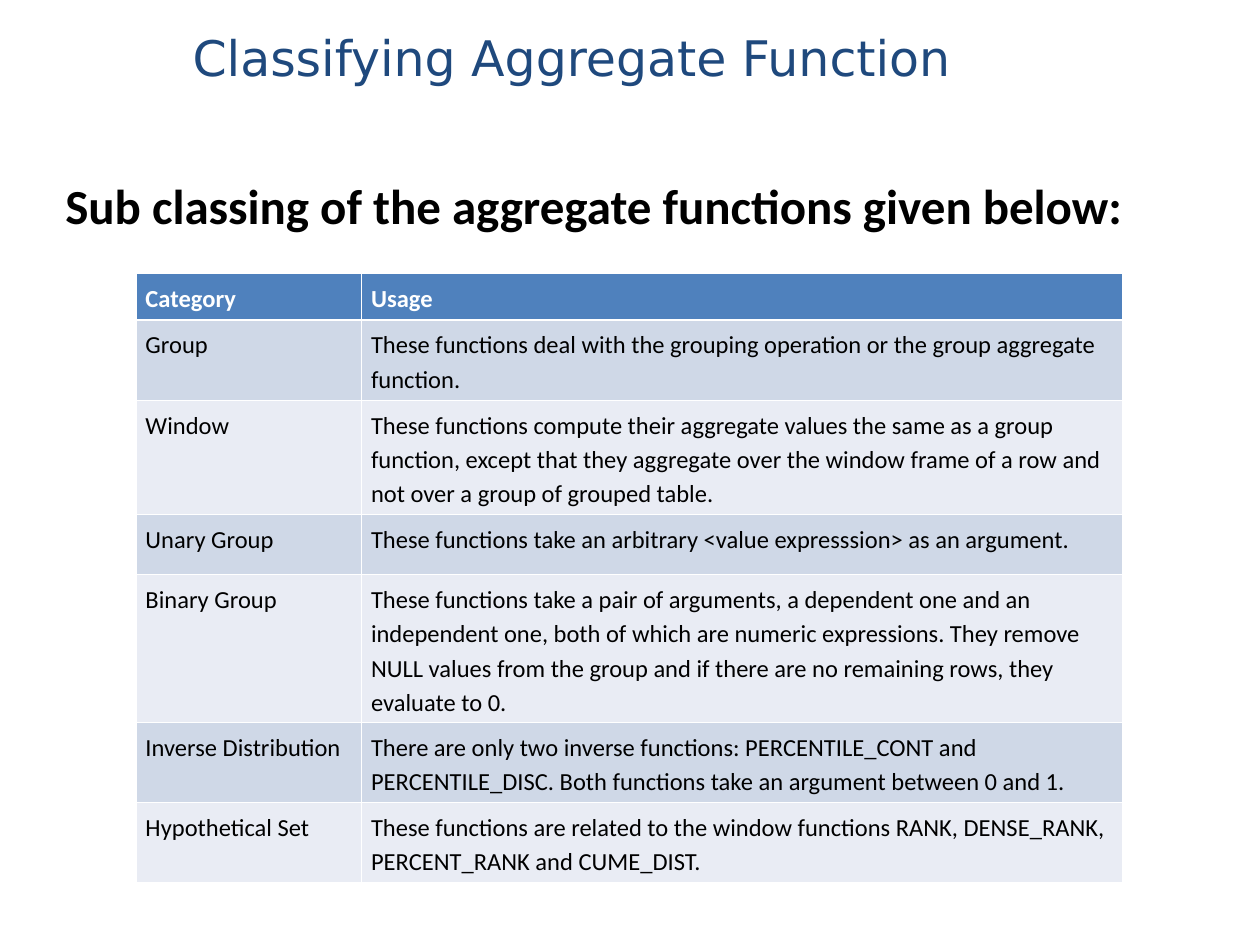
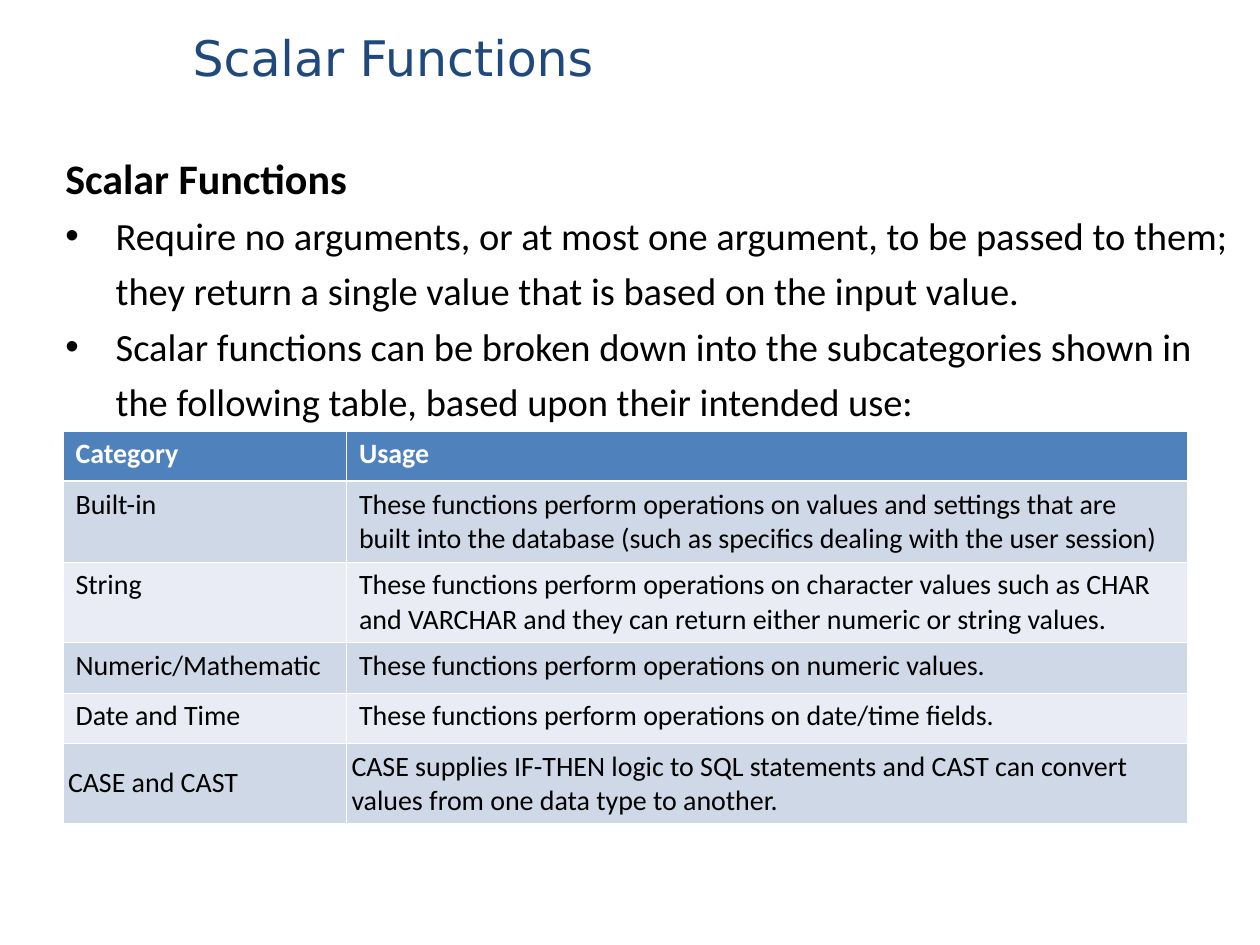
from dataclasses import dataclass

from lxml import etree
from pptx import Presentation, util as u
from pptx.dml.color import RGBColor
from pptx.enum import text
from pptx.oxml import ns

COLUMNS, ROWS = 100, 75  # the grid that covers a 10 by 7.5 inch slide
SLIDE_WIDTH, SLIDE_HEIGHT = u.Inches(10), u.Inches(7.5)


@dataclass(frozen=True)
class Theme:
    title_font: str = "DejaVu Sans"
    body_font: str = "Calibri"
    title_color: str = "1F497D"
    text_color: str = "000000"
    light: str = "FFFFFF"
    header_fill: str = "4F81BD"
    band_fills: tuple = ("CFD8E7", "E9ECF4")
    title_size: int = 28
    lead_size: int = 28
    heading_size: int = 24
    bullet_size: int = 22
    thin_border: float = 0.45
    thick_border: float = 1.47


THEME = Theme()


@dataclass(frozen=True)
class Box:
    """A region in grid columns and rows."""
    left: float
    top: float
    width: float
    height: float

    def place(self):
        return across(self.left), down(self.top), across(self.width), down(self.height)


@dataclass(frozen=True)
class TableFormat:
    size: int
    side_margin: float
    paragraph: dict


TITLE_BOX = Box(14.3, -1.7, 90.7, 12.5)

AGGREGATE_ROWS = [
    ("Category", "Usage"),
    ("Group", "These functions deal with the grouping operation or the group aggregate function."),
    ("Window", "These functions compute their aggregate values the same as a group function, "
               "except that they aggregate over the window frame of a row and not over a group "
               "of grouped table."),
    ("Unary Group", "These functions take an arbitrary <value expresssion> as an argument."),
    ("Binary Group", "These functions take a pair of arguments, a dependent one and an independent "
                     "one, both of which are numeric expressions. They remove NULL values from the "
                     "group and if there are no remaining rows, they evaluate to 0."),
    ("Inverse Distribution", "There are only two inverse functions: PERCENTILE_CONT and "
                             "PERCENTILE_DISC. Both functions take an argument between 0 and 1."),
    ("Hypothetical Set", "These functions are related to the window functions RANK, DENSE_RANK, "
                         "PERCENT_RANK and CUME_DIST."),
]

SCALAR_POINTS = [
    "Require no arguments, or at most one argument, to be passed to them; they return a single "
    "value that is based on the input value.",
    "Scalar functions can be broken down into the subcategories shown in the following table, "
    "based upon their intended use:",
]

SCALAR_ROWS = [
    ("Category", "Usage"),
    ("Built-in", "These functions perform operations on values and settings that are built into "
                 "the database (such as specifics dealing with the user session)"),
    ("String", "These functions perform operations on character values such as CHAR and VARCHAR "
               "and they can return either numeric or string values."),
    ("Numeric/Mathematic", "These functions perform operations on numeric values."),
    ("Date and Time", "These functions perform operations on date/time fields."),
    ("CASE and CAST", "CASE supplies IF-THEN logic to SQL statements and CAST can convert values "
                      "from one data type to another."),
]


def across(columns):
    return round(SLIDE_WIDTH * columns / COLUMNS)


def down(rows):
    return round(SLIDE_HEIGHT * rows / ROWS)


def set_all(target, values):
    for name, value in values.items():
        setattr(target, name, value)


def write(paragraph, words, size, color=THEME.text_color, font=THEME.body_font, bold=False):
    run = paragraph.add_run()
    run.text = words
    set_all(run.font, {"size": u.Pt(size), "name": font, "bold": bold})
    run.font.color.rgb = RGBColor.from_string(color)


def add_bullet(paragraph):
    properties = paragraph._p.get_or_add_pPr()
    color = etree.SubElement(properties, ns.qn("a:buClr"))
    etree.SubElement(color, ns.qn("a:srgbClr"), val=THEME.text_color)
    etree.SubElement(properties, ns.qn("a:buFont"), typeface="Arial")
    etree.SubElement(properties, ns.qn("a:buChar"), char="•")


def hang(paragraph, columns):
    properties = paragraph._p.get_or_add_pPr()
    properties.set("marL", str(across(columns)))
    properties.set("indent", str(-across(columns)))


def add_text_frame(slide, box, anchor=text.MSO_ANCHOR.TOP):
    frame = slide.shapes.add_textbox(*box.place()).text_frame
    set_all(frame, {"word_wrap": True, "vertical_anchor": anchor})
    return frame


def add_title(slide, words):
    frame = add_text_frame(slide, TITLE_BOX, text.MSO_ANCHOR.MIDDLE)
    write(frame.paragraphs[0], words, THEME.title_size, THEME.title_color, THEME.title_font)


def add_lead(slide, box, words):
    frame = add_text_frame(slide, box)
    write(frame.paragraphs[0], words, THEME.lead_size, bold=True)


def add_bullet_list(slide, box, heading, points):
    frame = add_text_frame(slide, box)
    first = frame.paragraphs[0]
    write(first, heading, THEME.heading_size, bold=True)
    for point in points:
        paragraph = frame.add_paragraph()
        add_bullet(paragraph)
        write(paragraph, point, THEME.bullet_size)
    for paragraph in frame.paragraphs:
        hang(paragraph, 4)
        paragraph.line_spacing = 1.2


def set_borders(cell, row):
    """Draw thin white edges, with a thicker line under the header row."""
    thick_edge = {0: "lnB", 1: "lnT"}.get(row)
    properties = cell._tc.get_or_add_tcPr()
    for edge in ("lnL", "lnR", "lnT", "lnB"):
        width = THEME.thick_border if edge == thick_edge else THEME.thin_border
        line = etree.SubElement(properties, ns.qn(f"a:{edge}"), w=str(u.Pt(width)))
        fill = etree.SubElement(line, ns.qn("a:solidFill"))
        etree.SubElement(fill, ns.qn("a:srgbClr"), val=THEME.light)


def fill_cell(cell, row, words, table_format):
    header = row == 0
    fill = THEME.header_fill if header else THEME.band_fills[(row - 1) % 2]
    set_borders(cell, row)
    cell.fill.solid()
    cell.fill.fore_color.rgb = RGBColor.from_string(fill)
    side, edge = across(table_format.side_margin), down(0.5)
    set_all(cell, {"margin_left": side, "margin_right": side,
                   "margin_top": edge, "margin_bottom": edge})
    paragraph = cell.text_frame.paragraphs[0]
    set_all(paragraph, table_format.paragraph)
    write(paragraph, words, table_format.size,
          THEME.light if header else THEME.text_color, bold=header)


def add_category_table(slide, box, contents, widths, heights, table_format):
    table = slide.shapes.add_table(len(contents), len(widths), *box.place()).table
    table.horz_banding = False
    for column, width in zip(table.columns, widths):
        column.width = across(width)
    for row, height in zip(table.rows, heights):
        row.height = down(height)
    for row, entries in enumerate(contents):
        for column, words in enumerate(entries):
            fill_cell(table.cell(row, column), row, words, table_format)
    return table


def build_aggregate_slide(slide):
    add_title(slide, "Classifying Aggregate Function")
    add_lead(slide, Box(4.2, 13.4, 95, 54.1),
             "Sub classing of the aggregate functions given below:")
    table_format = TableFormat(14, 0.75, {"line_spacing": 1.15, "space_after": u.Pt(10)})
    table = add_category_table(slide, Box(10.8, 21.7, 78.3, 43.5), AGGREGATE_ROWS,
                               (17.9, 60.4), (2.9, 5.5, 8.2, 4.8, 11, 5.5, 5.5), table_format)
    for cell in table.rows[len(AGGREGATE_ROWS) - 1].cells:
        cell.text_frame.paragraphs[0].space_after = u.Pt(0)


def build_scalar_slide(slide):
    add_title(slide, "Scalar Functions")
    add_bullet_list(slide, Box(4.2, 10.8, 95, 54.1), "Scalar Functions", SCALAR_POINTS)
    table = add_category_table(slide, Box(5, 34.2, 89.2, 31), SCALAR_ROWS,
                               (22.5, 66.7), (4, 6.4, 6.4, 4, 4, 6.2), TableFormat(16, 1, {}))
    for cell in table.rows[len(SCALAR_ROWS) - 1].cells:
        set_all(cell, {"vertical_anchor": text.MSO_ANCHOR.MIDDLE,
                       "margin_left": across(0.4), "margin_right": across(0.4)})


def main():
    presentation = Presentation()
    set_all(presentation, {"slide_width": SLIDE_WIDTH, "slide_height": SLIDE_HEIGHT})
    blank = presentation.slide_layouts[6]
    for build in (build_aggregate_slide, build_scalar_slide):
        build(presentation.slides.add_slide(blank))
    presentation.save("out.pptx")


if __name__ == "__main__":
    main()
